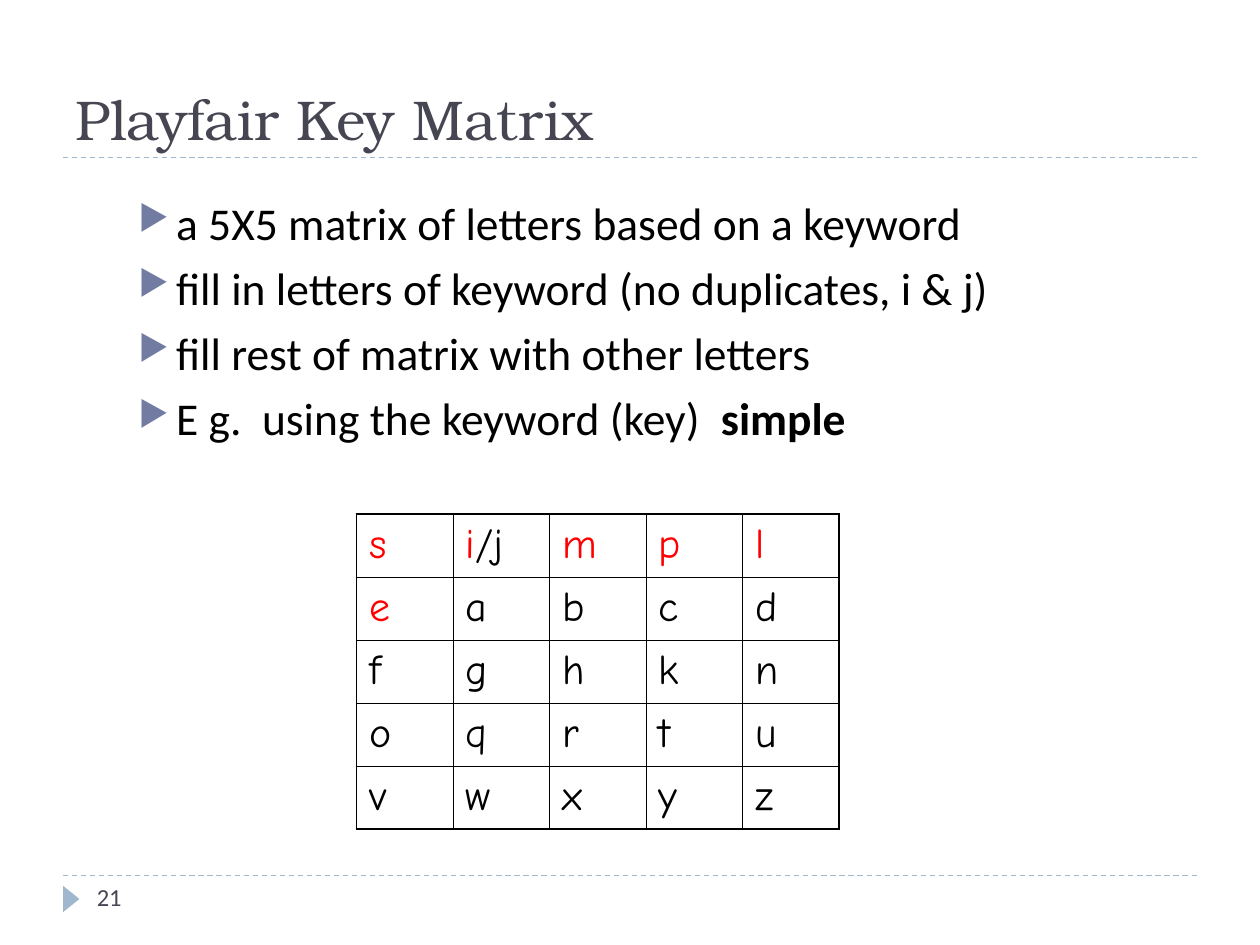
from lxml import etree
from pptx import Presentation
from pptx.dml.color import RGBColor
from pptx.enum import dml, shapes, text
from pptx.oxml import ns
from pptx.util import Inches, Pt

INK = RGBColor(0x46, 0x46, 0x53)
BLACK = RGBColor(0, 0, 0)
RED = RGBColor(0xFF, 0, 0)
RULE = RGBColor(0x9F, 0xB8, 0xCD)
MARK = RGBColor(0x72, 0x7C, 0xA3)

# Content: runs are (words, extra format)
TITLE = "Playfair Key Matrix"
POINTS = [
    [("a 5X5 matrix of letters based on a keyword", {})],
    [("fill in letters of keyword (no duplicates, i & j)", {})],
    [("fill rest of matrix with other letters", {})],
    [("E g.  using the keyword (key)  ", {}), ("simple", {"bold": True})],
]
KEY = "simple"
GRID = [
    ["s", "i/j", "m", "p", "l"],
    ["e", "a", "b", "c", "d"],
    ["f", "g", "h", "k", "n"],
    ["o", "q", "r", "t", "u"],
    ["v", "w", "x", "y", "z"],
]
PAGE = "21"

HEAD = {"name": "TeX Gyre Bonum", "size": Pt(32), "color": INK}
BODY = {"name": "Calibri", "size": Pt(26), "color": BLACK}
CELL = {"name": "Comic Neue", "size": Pt(24), "color": BLACK}
FOOT = {"name": "Calibri", "size": Pt(14), "color": INK}


def add_run(para, words, form):
    run = para.add_run()
    run.text = words
    for key, val in form.items():
        if key == "color":
            run.font.color.rgb = val
        else:
            setattr(run.font, key, val)


def add_box(slide, place, lines, form, anchor=text.MSO_ANCHOR.TOP):
    frame = slide.shapes.add_textbox(*map(Inches, place)).text_frame
    frame.word_wrap = True
    frame.vertical_anchor = anchor
    for n, line in enumerate(lines):
        para = frame.add_paragraph() if n else frame.paragraphs[0]
        for words, extra in line:
            add_run(para, words, {**form, **extra})
    return frame


def add_bullet(para):
    props = para._p.get_or_add_pPr()
    props.set("marL", str(Inches(0.3)))
    props.set("indent", str(Inches(-0.3)))
    color = etree.SubElement(props, ns.qn("a:buClr"))
    etree.SubElement(color, ns.qn("a:srgbClr"), val=str(MARK))
    etree.SubElement(props, ns.qn("a:buSzPct"), val="76000")
    etree.SubElement(props, ns.qn("a:buChar"), char="▶")


def add_rule(slide, y):
    line = slide.shapes.add_connector(
        shapes.MSO_CONNECTOR.STRAIGHT, Inches(0.5), Inches(y), Inches(9.5), Inches(y))
    line.line.color.rgb = RULE
    line.line.width = Pt(0.75)
    line.line.dash_style = dml.MSO_LINE.DASH
    etree.SubElement(line._element.spPr, ns.qn("a:effectLst"))


def set_edges(cell, row, col, last):
    outer = {"lnL": col == 0, "lnR": col == last, "lnT": row == 0, "lnB": row == last}
    props = cell._tc.get_or_add_tcPr()
    for n, (tag, thick) in enumerate(outer.items()):
        edge = etree.Element(ns.qn("a:" + tag), w=str(Pt(1.08 if thick else 0.45)))
        fill = etree.SubElement(edge, ns.qn("a:solidFill"))
        etree.SubElement(fill, ns.qn("a:srgbClr"), val=str(BLACK))
        props.insert(n, edge)


def add_matrix(slide):
    size = len(GRID)
    table = slide.shapes.add_table(
        size, size, Inches(2.83), Inches(4.08), Inches(3.83), Inches(2.5)).table
    table.first_row = table.horz_banding = False
    for r, row in enumerate(GRID):
        for c, word in enumerate(row):
            cell = table.cell(r, c)
            cell.fill.background()
            set_edges(cell, r, c, size - 1)
            para = cell.text_frame.paragraphs[0]
            # Letters of the keyword stand out in red
            first, rest = word[0], word[1:]
            add_run(para, first, {**CELL, "color": RED if first in KEY else BLACK})
            if rest:
                add_run(para, rest, CELL)


def main():
    deck = Presentation()
    deck.slide_width, deck.slide_height = Inches(10), Inches(7.5)
    slide = deck.slides.add_slide(deck.slide_layouts[6])

    # Rules and page marker
    for y in (6.95, 1.25):
        add_rule(slide, y)
    mark = slide.shapes.add_shape(
        shapes.MSO_SHAPE.ISOSCELES_TRIANGLE, *map(Inches, (0.46, 7.07, 0.21, 0.13)))
    mark.rotation = 90
    mark.shadow.inherit = False
    mark.fill.solid()
    mark.fill.fore_color.rgb = RULE
    mark.line.fill.background()

    # Title and points
    add_box(slide, (0.5, 0.17, 9, 1.08), [[(TITLE, {})]], HEAD, text.MSO_ANCHOR.BOTTOM)
    body = add_box(slide, (1, 1.5, 9, 2.92), POINTS, BODY)
    for n, para in enumerate(body.paragraphs):
        para.space_before = Pt(6 if n else 0)
        add_bullet(para)

    # Key matrix and page number
    add_matrix(slide)
    add_box(slide, (0.67, 6.95, 2.17, 0.4), [[(PAGE, {})]], FOOT)
    deck.save("out.pptx")


if __name__ == "__main__":
    main()
